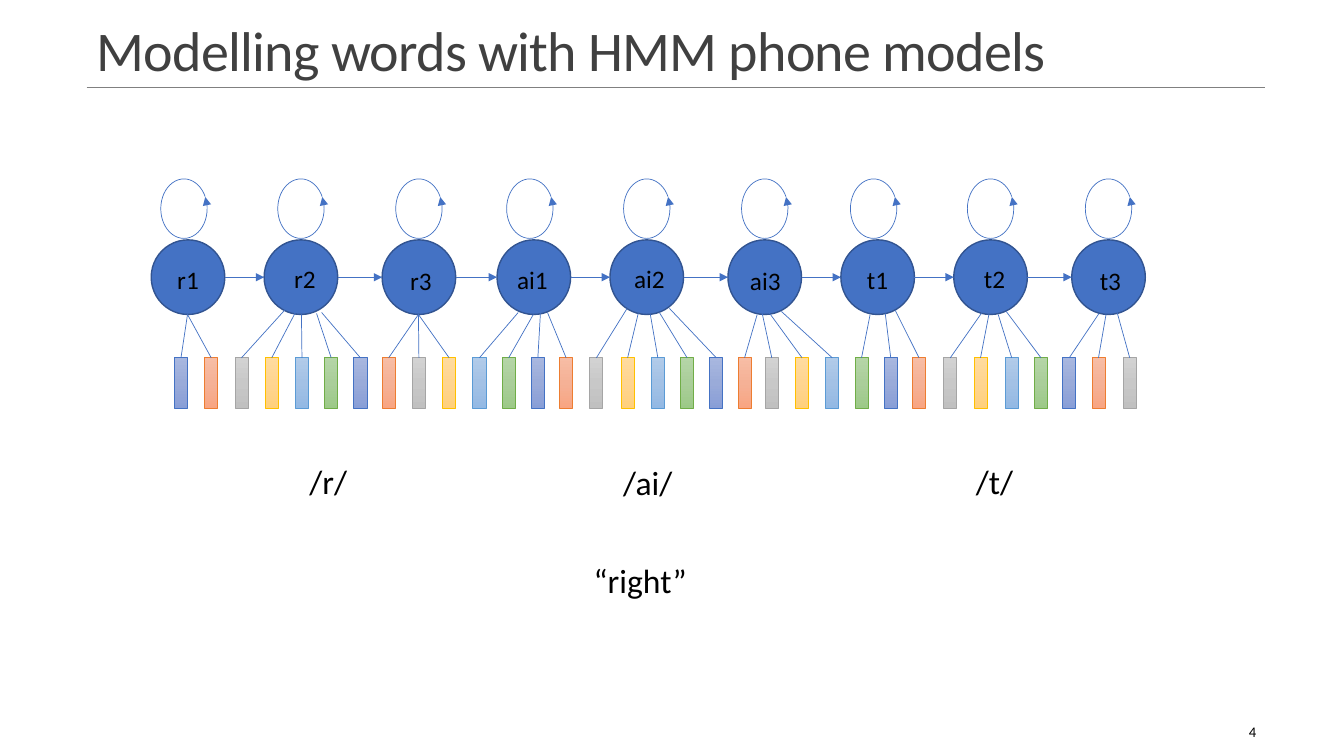
from lxml import etree
from pptx import Presentation
from pptx.dml.color import RGBColor
from pptx.enum.shapes import MSO_CONNECTOR, MSO_SHAPE
from pptx.enum.text import MSO_ANCHOR, MSO_AUTO_SIZE, PP_ALIGN
from pptx.oxml.ns import qn
from pptx.util import Inches, Pt

STRAIGHT = MSO_CONNECTOR.STRAIGHT
OVAL, RECTANGLE, ARC = MSO_SHAPE.OVAL, MSO_SHAPE.RECTANGLE, MSO_SHAPE.ARC
TOP, MIDDLE, BOTTOM = MSO_ANCHOR.TOP, MSO_ANCHOR.MIDDLE, MSO_ANCHOR.BOTTOM
LEFT, CENTER, RIGHT = PP_ALIGN.LEFT, PP_ALIGN.CENTER, PP_ALIGN.RIGHT
FIT_SHAPE, NO_FIT = MSO_AUTO_SIZE.SHAPE_TO_FIT_TEXT, MSO_AUTO_SIZE.NONE

# Content
FONT = "Calibri"
COLORS = {"title": "404040", "rule": "808080", "text": "000000",
          "state": "4472C4", "state edge": "325491"}
TITLE = "Modelling words with HMM phone models"
WORD = "“right”"
PAGE_NUMBER = "4"

# Phone, left of its first state, inset of its state labels, left and top of its caption
PHONES = [("r", 1.5, 0.16, 2.77, 4.52),
          ("ai", 4.93, 0.10, 5.94, 4.53),
          ("t", 8.34, 0.16, 9.38, 4.52)]

# Per state: offset of circle, loop and label from the phone's left, then label top
STATES = [(0, 0.03, 0, 2.57), (1.12, 1.19, 1.16, 2.56), (2.29, 2.36, 2.31, 2.58)]

# Acoustic frames: left of the bar, then where its line leaves the state
FRAMES = [
    (1.73, 1.86, 3.12), (2.03, 1.86, 3.12),
    (2.33, 2.83, 3.07), (2.63, 2.93, 3.1), (2.93, 2.99, 3.12),
    (3.22, 3.14, 3.11), (3.51, 3.19, 3.1),
    (3.79, 4.15, 3.12), (4.09, 4.15, 3.12), (4.39, 4.15, 3.12),
    (4.69, 5.14, 3.1), (4.98, 5.29, 3.12), (5.27, 5.36, 3.11), (5.55, 5.43, 3.1),
    (5.85, 6.22, 3.06), (6.16, 6.33, 3.11), (6.46, 6.45, 3.12),
    (6.75, 6.54, 3.1), (7.04, 6.64, 3.06),
    (7.32, 7.51, 3.12), (7.59, 7.56, 3.11), (7.89, 7.62, 3.09), (8.19, 7.75, 3.09),
    (8.48, 8.63, 3.12), (8.77, 8.78, 3.11), (9.05, 8.88, 3.08),
    (9.36, 9.74, 3.1), (9.66, 9.81, 3.11), (9.97, 9.9, 3.12), (10.26, 9.98, 3.09),
    (10.54, 10.9, 3.11), (10.83, 10.97, 3.12), (11.14, 11.08, 3.1),
]
# Repeating bar styles: edge, then gradient from top to bottom
BAR_STYLES = [("4472C4", ("A8B7DF", "9AABD9", "889ED7")),
              ("ED7D31", ("F7BDA5", "F5B196", "F8A582")),
              ("A5A5A5", ("D2D2D2", "C8C8C8", "C0C0C0")),
              ("FFC000", ("FFDB9E", "FFD590", "FFD07C")),
              ("5B9BD5", ("B1CBE9", "A3C1E5", "93B9E4")),
              ("70AD47", ("B5D5A7", "AACE9A", "9CC987"))]

# Layout
STATE_TOP, STATE_WIDTH, STATE_HEIGHT = 2.38, 0.73, 0.74
LOOP_TOP, LOOP_WIDTH, LOOP_HEIGHT = 1.84, 0.59, 0.46
LOOP_ANGLES = (61.316, 60.484)
BAR_TOP, BAR_WIDTH, BAR_HEIGHT = 3.55, 0.13, 0.5


def rgb(color):
    return RGBColor.from_string(color)


def add_arrowhead(shape, end):
    etree.SubElement(shape.line._get_or_add_ln(), qn(f"a:{end}"), type="triangle")


def add_line(x1, y1, x2, y2, color=COLORS["state"], arrow=False):
    line = page.shapes.add_connector(
        STRAIGHT, Inches(x1), Inches(y1), Inches(x2), Inches(y2))
    line.line.color.rgb = rgb(color)
    line.line.width = Pt(0.5)
    if arrow:
        add_arrowhead(line, "tailEnd")
    etree.SubElement(line._element.spPr, qn("a:effectLst"))


def add_shape(kind, left, top, width, height, edge, weight=0.5):
    shape = page.shapes.add_shape(
        kind, Inches(left), Inches(top), Inches(width), Inches(height))
    shape.shadow.inherit = False
    shape.line.color.rgb = rgb(edge)
    shape.line.width = Pt(weight)
    return shape


def write(box, text, size, color=COLORS["text"], align=LEFT, anchor=TOP,
          fit=NO_FIT, wrap=True):
    frame = box.text_frame
    frame.word_wrap = wrap
    frame.auto_size = fit
    frame.vertical_anchor = anchor
    para = frame.paragraphs[0]
    para.alignment = align
    span = para.add_run()
    span.text = text
    span.font.name = FONT
    span.font.size = Pt(size)
    span.font.color.rgb = rgb(color)
    return para, span


def add_text(left, top, width, height, text, size, **style):
    box = page.shapes.add_textbox(
        Inches(left), Inches(top), Inches(width), Inches(height))
    write(box, text, size, **style)


def add_loop(left):
    loop = add_shape(ARC, left, LOOP_TOP, LOOP_WIDTH, LOOP_HEIGHT, COLORS["state"])
    loop.fill.background()
    loop.rotation = 270
    for index, angle in enumerate(LOOP_ANGLES):
        loop.adjustments[index] = angle * 0.6  # degrees to adjustment units
    add_arrowhead(loop, "headEnd")


def add_bar(left, edge, gradient):
    bar = add_shape(RECTANGLE, left, BAR_TOP, BAR_WIDTH, BAR_HEIGHT, edge)
    bar.fill.gradient()
    bar.fill.gradient_angle = 270
    stops = bar._element.spPr.find(qn("a:gradFill")).find(qn("a:gsLst"))
    for stop in list(stops):
        stops.remove(stop)
    for position, color in zip((0, 50000, 100000), gradient):
        stop = etree.SubElement(stops, qn("a:gs"), pos=str(position))
        etree.SubElement(stop, qn("a:srgbClr"), val=color)


deck = Presentation()
deck.slide_width, deck.slide_height = Inches(13.33), Inches(7.5)
page = deck.slides.add_slide(deck.slide_layouts[5])

# Title and rule
add_line(0.86, 0.87, 12.55, 0.87, COLORS["rule"])
title = page.shapes.title
title.left, title.top = Inches(0.86), Inches(0.13)
title.width, title.height = Inches(11.7), Inches(0.74)
title_para, title_span = write(title, TITLE, 40, COLORS["title"], anchor=BOTTOM)
title_para.line_spacing = 0.85
title_span.font._element.set("spc", "-50")

# States with their loops and labels, and phone captions
state_lefts = []
for phone, left, inset, caption_left, caption_top in PHONES:
    for number, (circle, loop, label, label_top) in enumerate(STATES, 1):
        state = add_shape(OVAL, left + circle, STATE_TOP, STATE_WIDTH, STATE_HEIGHT,
                          COLORS["state edge"], 1)
        state.fill.solid()
        state.fill.fore_color.rgb = rgb(COLORS["state"])
        state_lefts.append(left + circle)
        add_loop(left + loop)
        add_text(left + inset + label, label_top, 0.6, 0.4, f"{phone}{number}", 18,
                 fit=FIT_SHAPE)
    add_text(caption_left, caption_top, 0.97, 0.5, f"/{phone}/", 24,
             align=CENTER, fit=FIT_SHAPE)

# Transitions between neighbouring states
middle = STATE_TOP + STATE_HEIGHT / 2
for left, following in zip(state_lefts, state_lefts[1:]):
    add_line(left + STATE_WIDTH, middle, following, middle, arrow=True)

# Frames emitted by each state
for index, (bar_left, start_x, start_y) in enumerate(FRAMES):
    add_bar(bar_left, *BAR_STYLES[index % len(BAR_STYLES)])
    add_line(start_x, start_y, bar_left + BAR_WIDTH / 2, BAR_TOP)

# Word and page number
add_text(5.79, 5.51, 1.13, 0.5, WORD, 24, fit=FIT_SHAPE, wrap=False)
add_text(11.13, 7.06, 1.43, 0.4, PAGE_NUMBER, 10.5, align=RIGHT, anchor=MIDDLE)

deck.save("out.pptx")
